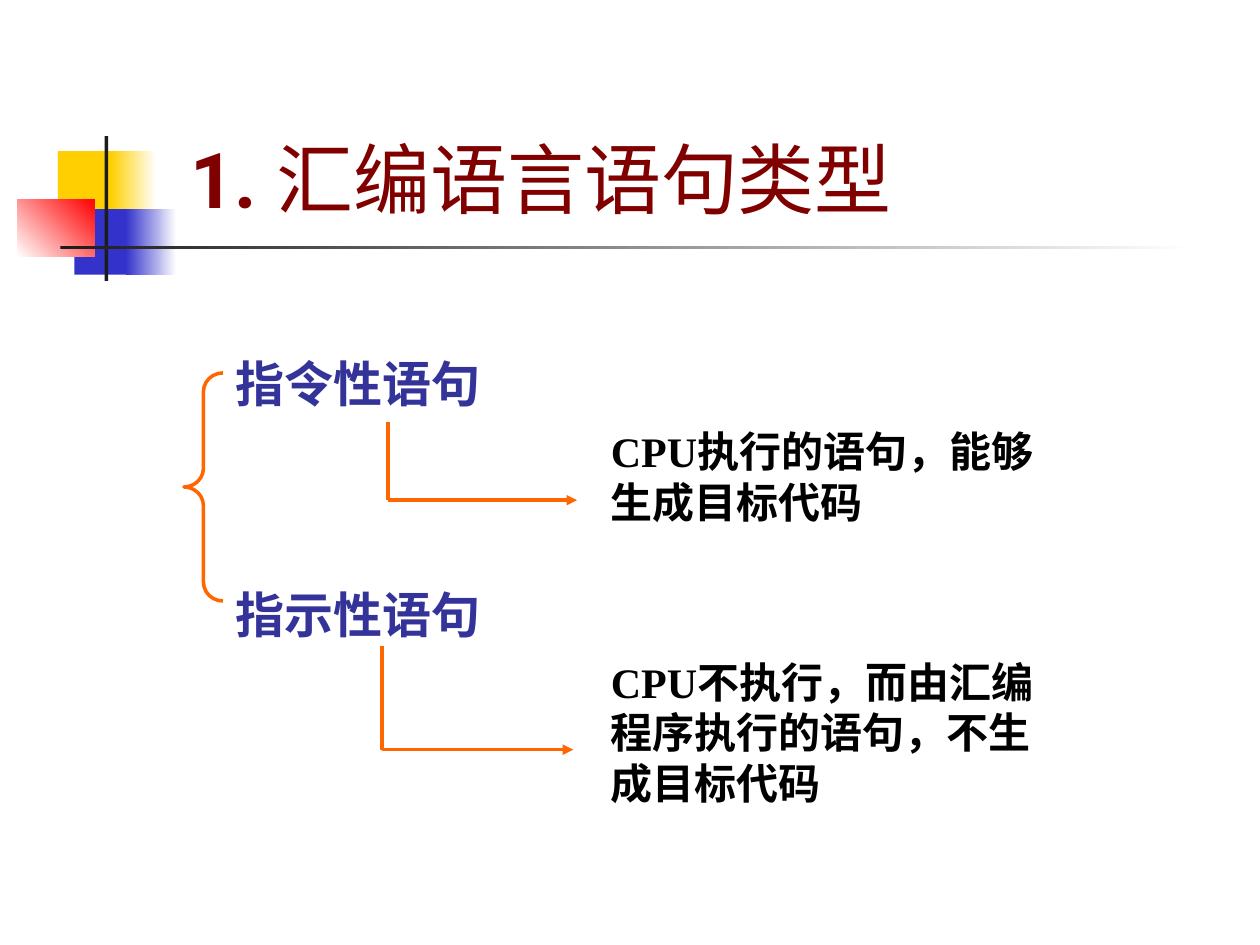
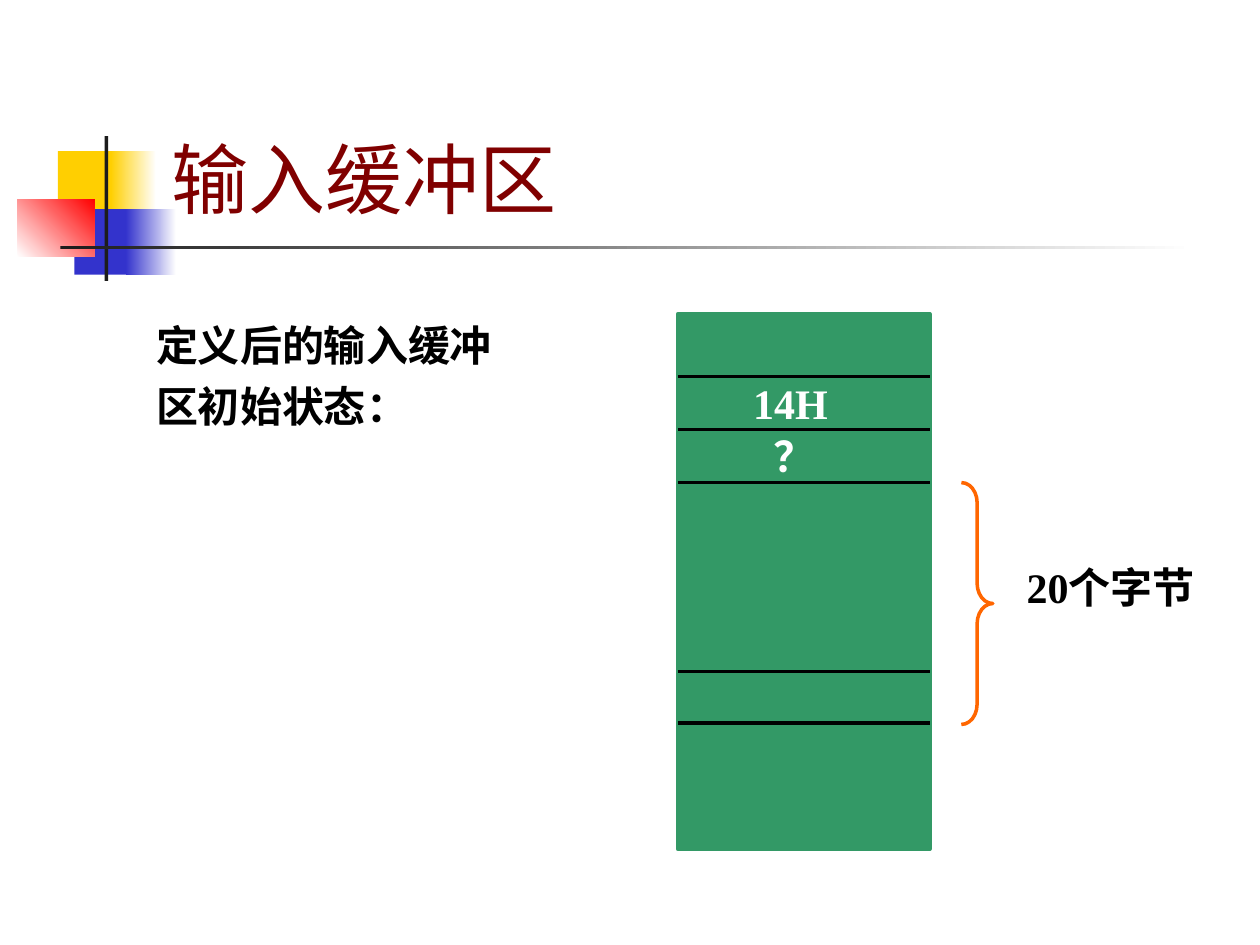
from dataclasses import dataclass

from lxml import etree
from pptx import Presentation
from pptx.dml.color import RGBColor
from pptx.enum.shapes import MSO_CONNECTOR, MSO_SHAPE
from pptx.enum.text import MSO_ANCHOR, MSO_AUTO_SIZE, PP_ALIGN
from pptx.oxml.ns import qn
from pptx.util import Inches, Pt

RECTANGLE = MSO_SHAPE.RECTANGLE
LEFT_BRACE = MSO_SHAPE.LEFT_BRACE
RIGHT_BRACE = MSO_SHAPE.RIGHT_BRACE
STRAIGHT = MSO_CONNECTOR.STRAIGHT
LEFT = PP_ALIGN.LEFT
TOP, BOTTOM = MSO_ANCHOR.TOP, MSO_ANCHOR.BOTTOM
NO_AUTOFIT = MSO_AUTO_SIZE.NONE
TITLE_ONLY = 5


@dataclass(frozen=True)
class Theme:
    title: str = "800000"
    heading: str = "333399"
    text: str = "000000"
    white: str = "FFFFFF"
    accent: str = "FF6600"
    memory: str = "339966"
    yellow: str = "FFCF01"
    blue: str = "3333CC"
    red: str = "FF0000"
    dark: str = "1C1C1C"
    title_font: str = "Roboto"
    text_font: str = "Times New Roman"
    title_size: int = 44
    heading_size: int = 28
    text_size: int = 24
    line_width: int = 2


def rgb(value):
    return RGBColor.from_string(value)


def write_text(frame, spans, *, font, size, color, bold=False,
               line_spacing=None, anchor=TOP):
    """Write one paragraph; spans is a string or a list of (text, bold)."""
    frame.word_wrap = True
    frame.auto_size = NO_AUTOFIT
    frame.vertical_anchor = anchor
    para = frame.paragraphs[0]
    para.alignment = LEFT
    if line_spacing:
        para.line_spacing = line_spacing
    if isinstance(spans, str):
        spans = [(spans, bold)]
    for text, is_bold in spans:
        span = para.add_run()
        span.text = text
        span.font.name = font
        span.font.size = Pt(size)
        span.font.bold = is_bold
        span.font.color.rgb = rgb(color)


class SlideBuilder:
    """Holds the deck, its style and the slide being filled."""

    def __init__(self, deck, theme):
        self.deck = deck
        self.theme = theme
        self.layout = deck.slide_layouts[TITLE_ONLY]
        self.page = None

    def new_page(self, title, left, top, width, height):
        self.page = self.deck.slides.add_slide(self.layout)
        box = self.page.shapes.title
        box.left, box.top = Inches(left), Inches(top)
        box.width, box.height = Inches(width), Inches(height)
        write_text(box.text_frame, title, font=self.theme.title_font,
                   size=self.theme.title_size, color=self.theme.title,
                   anchor=BOTTOM)

    def shape(self, kind, left, top, width, height, line=None):
        shape = self.page.shapes.add_shape(
            kind, Inches(left), Inches(top), Inches(width), Inches(height))
        shape.shadow.inherit = False
        if line:
            shape.line.color.rgb = rgb(line)
            shape.line.width = Pt(self.theme.line_width)
        else:
            shape.line.fill.background()
        return shape

    def block(self, left, top, width, height, *colors, angle=0, line=None):
        """Rectangle with one colour, or a gradient between two."""
        block = self.shape(RECTANGLE, left, top, width, height, line)
        if len(colors) == 1:
            block.fill.solid()
            block.fill.fore_color.rgb = rgb(colors[0])
        else:
            block.fill.gradient()
            block.fill.gradient_angle = angle
            for position, (stop, color) in enumerate(
                    zip(block.fill.gradient_stops, colors)):
                stop.position = position
                stop.color.rgb = rgb(color)
        return block

    def brace(self, kind, left, top, width, height, curve):
        brace = self.shape(kind, left, top, width, height, self.theme.accent)
        brace.fill.background()
        brace.adjustments[0] = curve
        brace.adjustments[1] = 0.5

    def line(self, x1, y1, x2, y2, color, arrow=False):
        line = self.page.shapes.add_connector(
            STRAIGHT, Inches(x1), Inches(y1), Inches(x2), Inches(y2))
        line.line.color.rgb = rgb(color)
        line.line.width = Pt(self.theme.line_width)
        properties = line.element.spPr
        if arrow:
            etree.SubElement(properties.find(qn("a:ln")), qn("a:tailEnd"),
                             type="triangle")
        etree.SubElement(properties, qn("a:effectLst"))

    def elbow_arrow(self, x, top, bottom, length):
        self.line(x, top, x, bottom, self.theme.accent)
        self.line(x, bottom, x + length, bottom, self.theme.accent, arrow=True)

    def text(self, text, left, top, width, height, **changes):
        style = dict(font=self.theme.text_font, size=self.theme.text_size,
                     color=self.theme.text, bold=True)
        box = self.page.shapes.add_textbox(
            Inches(left), Inches(top), Inches(width), Inches(height))
        write_text(box.text_frame, text, **(style | changes))

    def share_ornament(self):
        """Draw the corner ornament and rule once, and put it in the layout."""
        theme = self.theme
        parts = [
            self.block(0.46, 1.2, 0.48, 0.52, theme.yellow),
            self.block(0.88, 1.2, 0.36, 0.52, theme.yellow, theme.white),
            self.block(0.59, 1.66, 0.46, 0.52, theme.blue),
            self.block(1, 1.66, 0.4, 0.52, theme.blue, theme.white),
            self.block(0.14, 1.58, 0.61, 0.46, theme.white, theme.red,
                       angle=45),
            self.block(0.83, 1.08, 0.03, 1.15, theme.dark),
            self.block(0.48, 1.95, 9, 0.03, theme.dark, theme.white),
        ]
        for number, part in enumerate(parts, start=100):
            part.element.nvSpPr.cNvPr.set("id", str(number))
            self.layout.shapes.element.append(part.element)


def statement_types(builder):
    theme = builder.theme
    builder.new_page([("1. ", True), ("汇编语言语句类型", False)],
                     1.41, 0.91, 6.97, 0.92)
    builder.share_ornament()

    # The two kinds of statement
    for heading, top in (("指令性语句", 2.71), ("指示性语句", 4.54)):
        builder.text(heading, 1.77, top, 3.08, 0.65, font=theme.title_font,
                     size=theme.heading_size, color=theme.heading,
                     line_spacing=1.1)
    builder.brace(LEFT_BRACE, 1.46, 2.96, 0.31, 1.81, curve=0.48)

    # Explanations and the arrows to them
    builder.text("CPU执行的语句，能够生成目标代码", 4.75, 3.33, 3.64, 0.91)
    builder.text("CPU不执行，而由汇编程序执行的语句，不生成目标代码",
                 4.75, 5.16, 3.75, 1.5)
    builder.elbow_arrow(3.08, 3.35, 3.97, length=1.5)
    builder.elbow_arrow(3.03, 5.13, 5.95, length=1.52)


def input_buffer(builder):
    theme = builder.theme
    builder.new_page("输入缓冲区", 1.26, 0.23, 8.52, 1.6)

    # Memory column with its cell borders
    left, width = 5.38, 2
    builder.block(left, 2.49, width, 4.25, theme.memory, line=theme.memory)
    for y in (2.99, 3.41, 3.83, 5.33, 5.74):
        builder.line(left, y, left + width, y, theme.text)

    # Cell contents
    builder.text("14H", 5.88, 2.95, 1.17, 0.5, color=theme.white)
    builder.text("？", 6.04, 3.37, 0.66, 0.5, color=theme.white)

    # Size of the data area
    builder.brace(RIGHT_BRACE, 7.63, 3.83, 0.25, 1.92, curve=0.64)
    builder.text("20个字节", 8.05, 4.41, 1.83, 0.5)

    builder.text("定义后的输入缓冲区初始状态：", 1.14, 2.41, 3.17, 1.22,
                 line_spacing=1.2)


def main():
    deck = Presentation()
    deck.slide_width, deck.slide_height = Inches(10), Inches(7.5)
    builder = SlideBuilder(deck, Theme())
    statement_types(builder)
    input_buffer(builder)
    deck.save("out.pptx")


if __name__ == "__main__":
    main()
